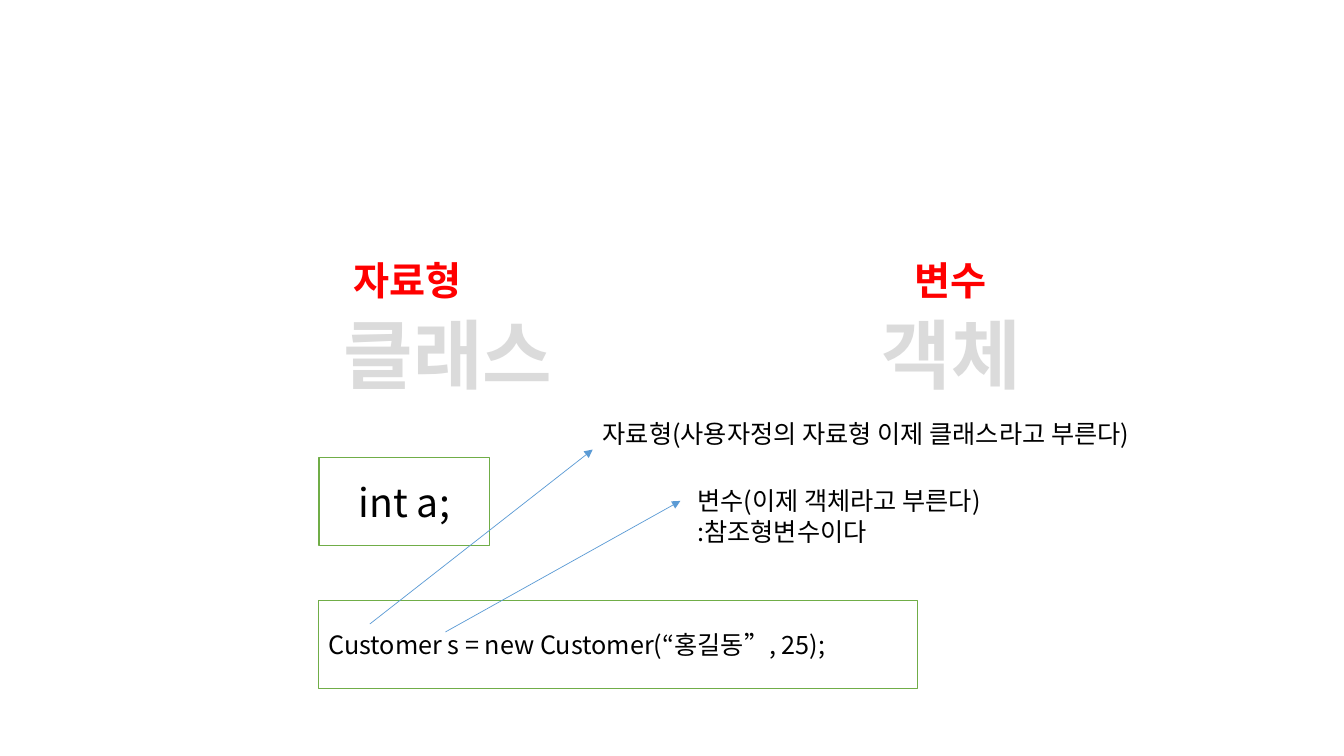
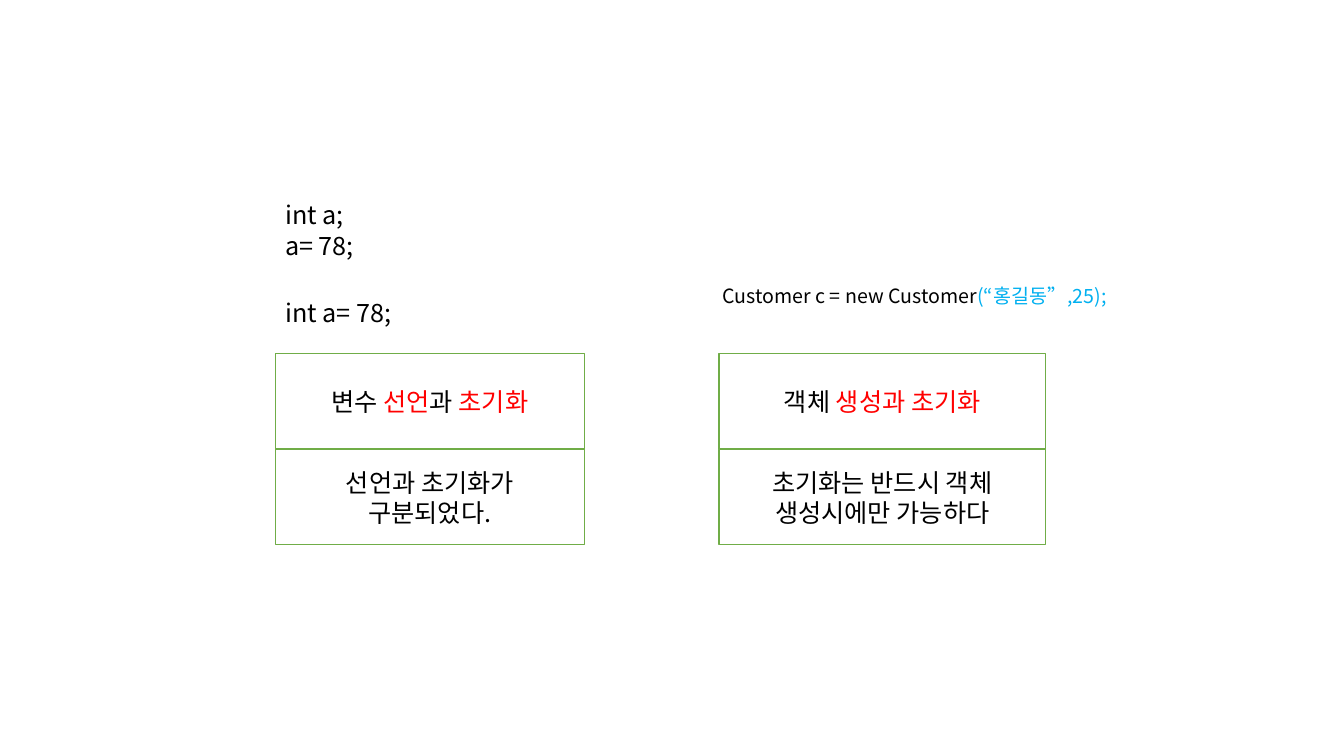
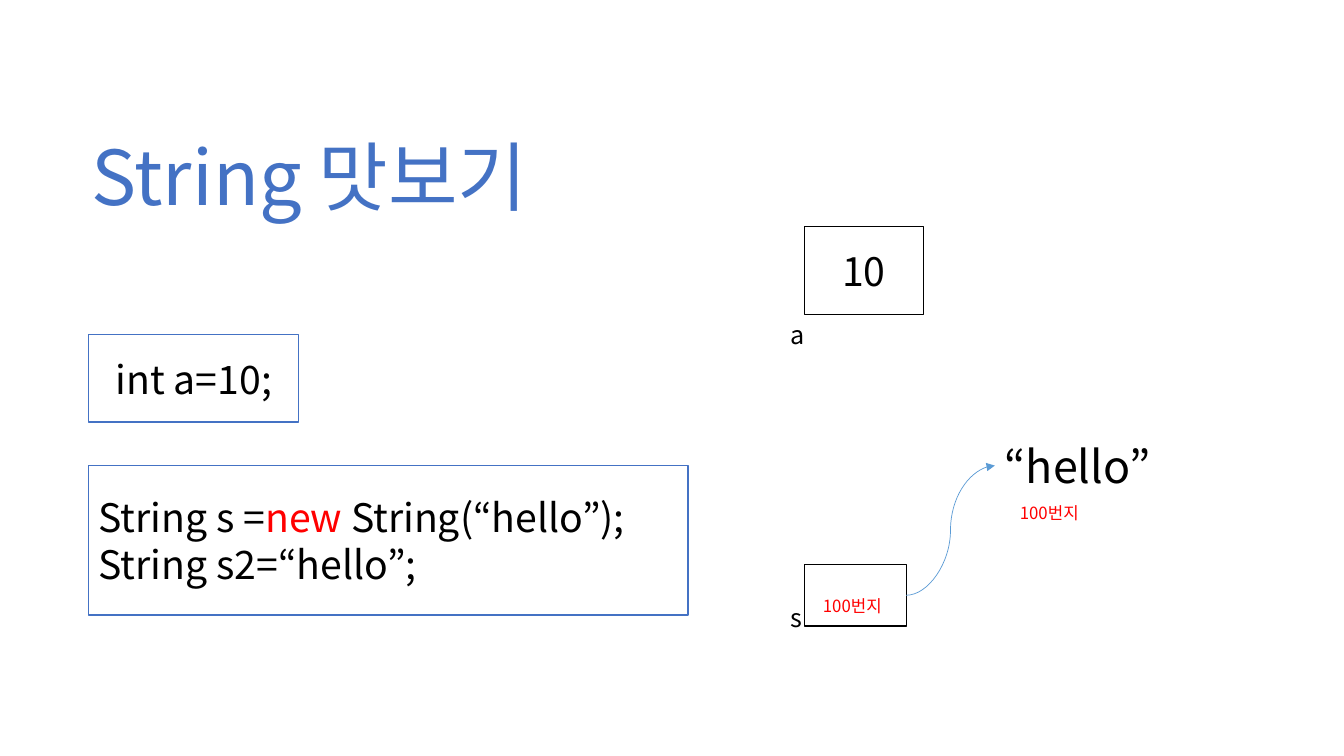
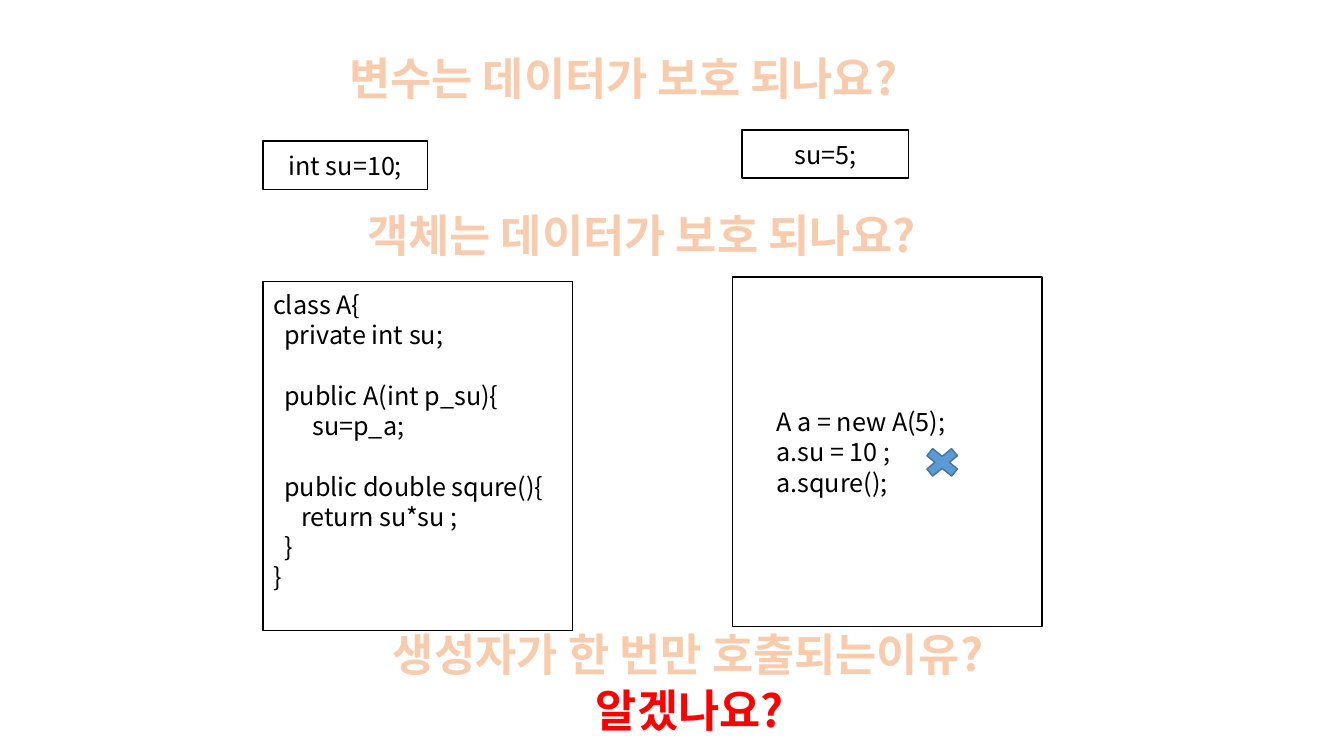
"""Builds four lecture slides on variables, classes and objects."""
from lxml import etree
from pptx import Presentation
from pptx.dml.color import RGBColor
from pptx.enum.shapes import MSO_CONNECTOR, MSO_SHAPE
from pptx.enum.text import MSO_ANCHOR, PP_ALIGN
from pptx.oxml.ns import qn
from pptx.util import Pt

RECTANGLE, CROSS = MSO_SHAPE.RECTANGLE, MSO_SHAPE.MATH_MULTIPLY
STRAIGHT, CURVE = MSO_CONNECTOR.STRAIGHT, MSO_CONNECTOR.CURVE
LEFT, CENTER = PP_ALIGN.LEFT, PP_ALIGN.CENTER
TOP, MIDDLE = MSO_ANCHOR.TOP, MSO_ANCHOR.MIDDLE
FONT = "Noto Sans CJK KR"
LINE_HEIGHT = 1.2
COLORS = {
    "black": "000000", "white": "FFFFFF", "red": "FF0000", "gray": "DBDBDB",
    "green": "70AD47", "blue": "4472C4", "sky": "00B0F0", "peach": "F8CBAD",
    "arrow": "5B9BD5", "cross_line": "43739E",
}
COLORS = {name: RGBColor.from_string(value) for name, value in COLORS.items()}


def write(slide, text, left, top, width, height, size=18, color="black",
          bold=False, align=LEFT, line=None, spacing=None, indent=0):
    """Adds text, framed when a line colour is given; lists hold (text, colour) runs."""
    area = Pt(left), Pt(top), Pt(width), Pt(height)
    if line:
        shape = slide.shapes.add_shape(RECTANGLE, *area)
        shape.shadow.inherit = False
        shape.fill.solid()
        shape.fill.fore_color.rgb = COLORS["white"]
        shape.line.color.rgb = COLORS[line]
        shape.line.width = Pt(1)
    else:
        shape = slide.shapes.add_textbox(*area)
    frame = shape.text_frame
    frame.word_wrap = True
    frame.vertical_anchor = MIDDLE if line else TOP
    frame.margin_left = Pt(7.2 + indent)
    lines = [[(part, color)] for part in text.split("\n")] if isinstance(text, str) else text
    for number, runs in enumerate(lines):
        paragraph = frame.add_paragraph() if number else frame.paragraphs[0]
        paragraph.alignment = align
        paragraph.line_spacing = Pt(spacing or size * LINE_HEIGHT)
        for run_text, run_color in runs:
            run = paragraph.add_run()
            run.text = run_text
            font = run.font
            font.size, font.bold, font.name = Pt(size), bold, FONT
            font.color.rgb = COLORS[run_color]
            etree.SubElement(run._r.rPr, qn("a:ea"), typeface=FONT)
    return shape


def add_arrow(slide, kind, start_x, start_y, end_x, end_y):
    """Adds a thin connector with an arrowhead at its end."""
    arrow = slide.shapes.add_connector(kind, Pt(start_x), Pt(start_y), Pt(end_x), Pt(end_y))
    arrow.line.color.rgb = COLORS["arrow"]
    arrow.line.width = Pt(0.5)
    etree.SubElement(arrow.line._get_or_add_ln(), qn("a:tailEnd"), type="triangle")
    etree.SubElement(arrow._element.spPr, qn("a:effectLst"))
    return arrow


presentation = Presentation()
presentation.slide_width, presentation.slide_height = Pt(960), Pt(540)
blank = presentation.slide_layouts[6]

slide = presentation.slides.add_slide(blank)
for text, left, width in (("클래스", 230.9, 178), ("객체", 617.5, 124)):
    write(slide, text, left, 216.7, width, 73, size=54, color="gray", bold=True, align=CENTER)
for text, left, width in (("자료형", 241.5, 99.4), ("변수", 643.2, 71.3)):
    write(slide, text, left, 179.3, width, 41, size=28, color="red", bold=True, align=CENTER)
write(slide, "int a;", 228, 327, 121.7, 62.6, size=28, align=CENTER, line="green")
write(slide, "Customer s = new Customer(“홍길동”, 25);", 227.5, 429.1, 428, 62.6, line="green")
write(slide, "변수(이제 객체라고 부른다)\n:참조형변수이다", 491, 343.4, 323, 51)
write(slide, "자료형(사용자정의 자료형 이제 클래스라고 부른다)", 423.4, 295.2, 506, 29)
add_arrow(slide, STRAIGHT, 318.2, 451.4, 486, 357.8)
add_arrow(slide, STRAIGHT, 264.2, 445.7, 423.4, 321.1)

slide = presentation.slides.add_slide(blank)
columns = (
    (196.6, 221, [("변수 ", "black"), ("선언", "red"), ("과 ", "black"), ("초기화", "red")],
     "선언과 초기화가 구분되었다."),
    (513.7, 233, [("객체 ", "black"), ("생성과 초기화", "red")],
     "초기화는 반드시 객체 생성시에만 가능하다"),
)
for left, width, heading, detail in columns:
    for row, text in enumerate(([heading], detail)):
        box = write(slide, text, left, 252.7 + row * 68.4, width, 68, align=CENTER, line="green")
        box.text_frame.margin_left = box.text_frame.margin_right = Pt(20)
write(slide, "int a;\na= 78;", 196.6, 139, 187, 51)
write(slide, "int a= 78;", 196.6, 208.8, 187, 29)
write(slide, [[("Customer c = new Customer", "black"), ("(“홍길동”,25);", "sky")]],
      509, 199, 300, 24.5, size=14)

slide = presentation.slides.add_slide(blank)
write(slide, "String 맛보기", 40, 89.3, 362, 73, size=54, color="blue", align=CENTER)
write(slide, "int a=10;", 63.4, 239, 150, 62.6, size=28, align=CENTER, line="blue")
write(slide, [[("String s =", "black"), ("new", "red"), (" String(“hello”);", "black")],
              [("String s2=“hello”;", "black")]],
      63.4, 332.6, 428, 106.6, size=28, line="blue")
write(slide, "10", 574.6, 162, 85, 62.6, size=28, align=CENTER, line="black")
reference_box = write(slide, "100번지", 574.6, 403.2, 72.7, 44, size=12, color="red",
                      line="black", spacing=29, indent=6)
for name, top in (("a", 224.6), ("s", 427)):
    write(slide, name, 557.3, top, 34, 29)
hello = write(slide, "“hello”", 710.6, 309.6, 120, 46, size=32)
write(slide, "100번지", 721.4, 355.7, 126, 36, size=12, color="red")
arrow = add_arrow(slide, CURVE, 647.3, 425.2, 710.6, 332.6)
arrow.begin_connect(reference_box, 3)
arrow.end_connect(hello, 1)

slide = presentation.slides.add_slide(blank)
for text, left, top, width in (("int su=10;", 188, 100.8, 117.4), ("su=5;", 530, 92.9, 119)):
    write(slide, text, left, top, width, 34.4, align=CENTER, line="black")

class_code = (
    ("class A{", 0, 0),
    ("private int su;", 8, 0),
    ("public A(int p_su){", 8, 1),
    ("su=p_a;", 28, 0),
    ("public double squre(){", 8, 1),
    ("return su*su ;", 20, 0),
    ("}", 8, 0),
    ("}", 0, 0),
)
code_line = 18 * LINE_HEIGHT
class_box = write(slide, "\n".join(row[0] for row in class_code),
                  188, 200.9, 221, 249.4, line="black")
class_box.text_frame.margin_bottom = Pt(3.6 + code_line)
for paragraph, (text, indent, gap) in zip(class_box.text_frame.paragraphs, class_code):
    paragraph._p.get_or_add_pPr().set("marL", str(Pt(indent)))
    paragraph.space_before = Pt(gap * code_line)
write(slide, "A a = new A(5);\na.su = 10 ;\na.squre();", 523.4, 198, 221, 249.4,
      line="black", indent=24)

cross = slide.shapes.add_shape(CROSS, Pt(656), Pt(316.3), Pt(34), Pt(28))
cross.shadow.inherit = False
cross.fill.solid()
cross.fill.fore_color.rgb = COLORS["arrow"]
cross.line.color.rgb = COLORS["cross_line"]
cross.line.width = Pt(1)

questions = (
    ("변수는 데이터가 보호 되나요?", 96.5, 33, "peach"),
    ("객체는 데이터가 보호 되나요?", 109.4, 144.7, "peach"),
    ("생성자가 한 번만 호출되는이유?", 142.6, 444.2, "peach"),
    ("알겠나요?", 144, 483.8, "red"),
)
for text, left, top, color in questions:
    write(slide, text, left, top, 697.7, 46, size=32, color=color, bold=True, align=CENTER)

presentation.save("out.pptx")
